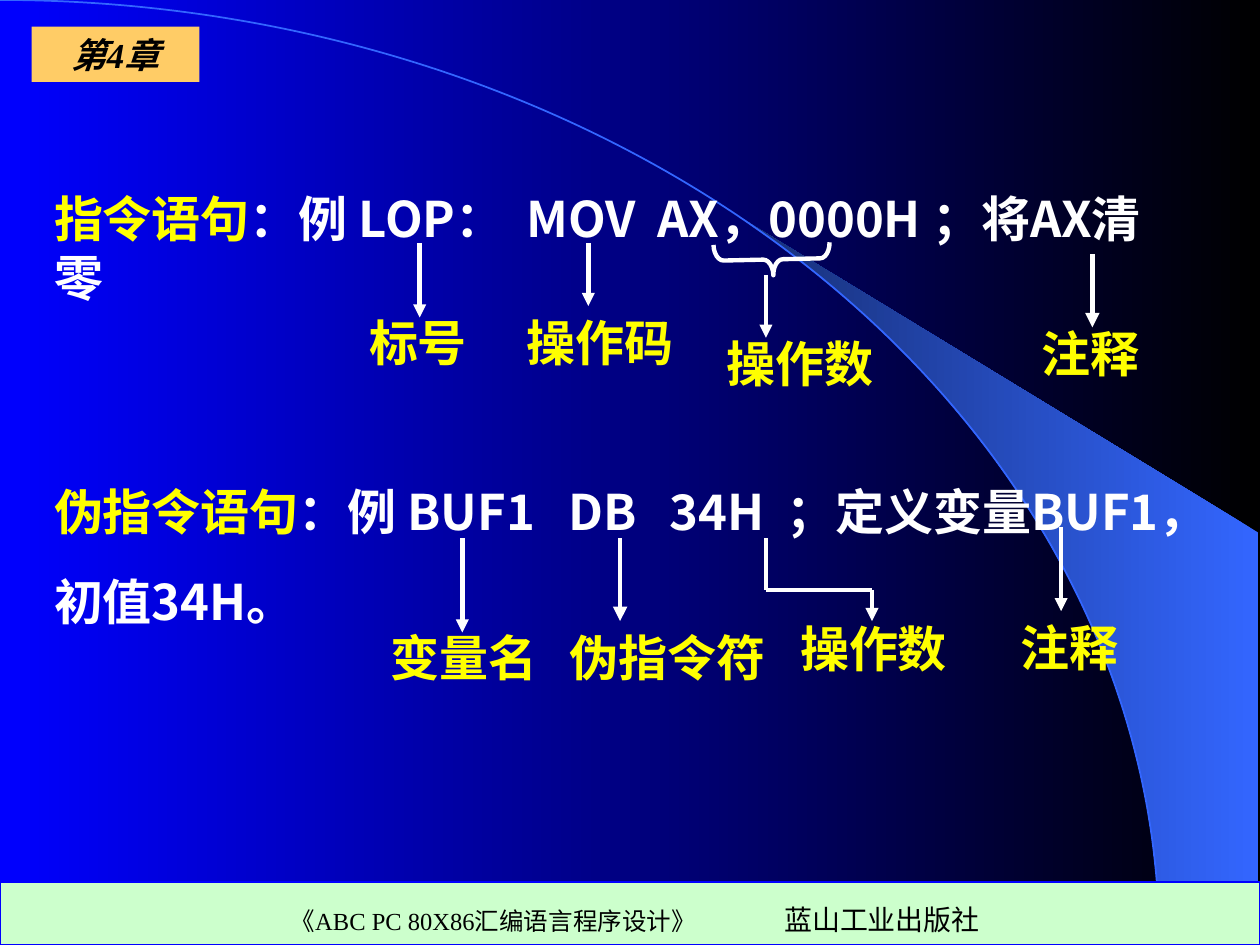
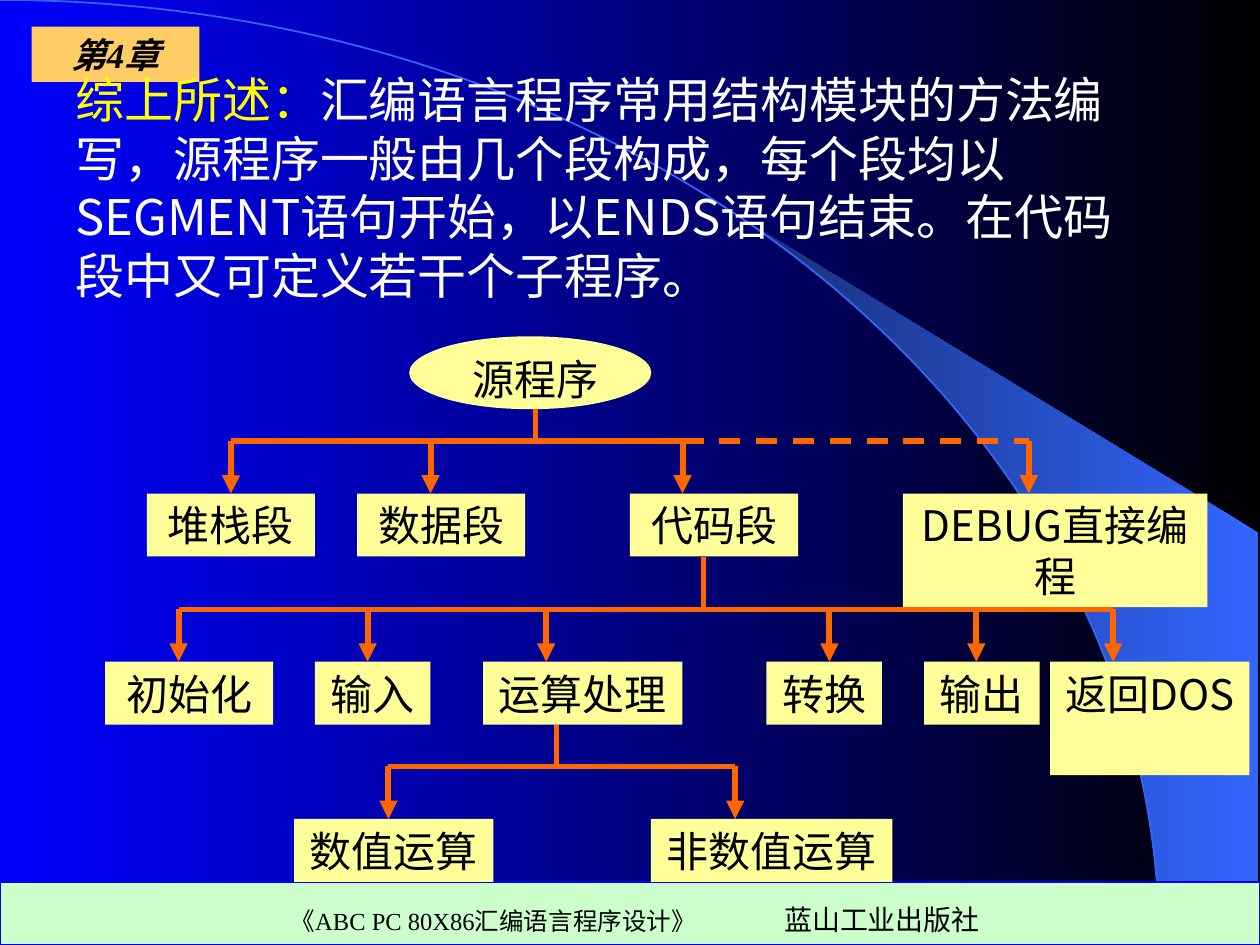
"""Build two slides on assembly statements and source program structure."""
from dataclasses import dataclass
from math import asin, cos, pi, sin
from typing import NamedTuple

from lxml.etree import SubElement
from pptx import Presentation
from pptx.dml.color import RGBColor as Rgb
from pptx.enum.dml import MSO_LINE_DASH_STYLE as Dash
from pptx.enum.shapes import MSO_CONNECTOR as Link, MSO_SHAPE as Preset
from pptx.enum.text import MSO_ANCHOR as Anchor, MSO_AUTO_SIZE as AutoSize, PP_ALIGN as Align
from pptx.oxml.ns import qn
from pptx.util import Cm, Pt


@dataclass(frozen=True)
class Theme:
    black: Rgb = Rgb(0, 0, 0)
    white: Rgb = Rgb(255, 255, 255)
    deep_blue: Rgb = Rgb(0, 0, 255)
    sky: Rgb = Rgb.from_string("3366FF")
    dusk: Rgb = Rgb.from_string("172F75")
    chapter: Rgb = Rgb.from_string("FFCC66")
    band: Rgb = Rgb.from_string("CCFFCC")
    key: Rgb = Rgb.from_string("FFFF00")
    node: Rgb = Rgb.from_string("FFFF99")
    branch: Rgb = Rgb.from_string("FF6600")
    sans: str = "Noto Sans CJK SC"
    serif: str = "Times New Roman"
    statement_size: float = 28
    node_size: float = 24
    chapter_size: float = 20
    press_size: float = 16
    book_size: float = 14
    line_ratio: float = 1.2
    paragraph_gap: float = 17.5
    space_width: float = 6.3


THEME = Theme()


class Box(NamedTuple):
    left: float
    top: float
    width: float
    height: float

    def lengths(self) -> tuple:
        return tuple(Cm(value) for value in self)


class Piece(NamedTuple):
    text: str
    colour: Rgb = THEME.white
    widening: float = 0


class Callout(NamedTuple):
    text: str
    box: Box
    route: tuple
    weight: float = 2.5


class Node(NamedTuple):
    text: str
    left: float
    width: float
    arrow_x: float
    height: float = 1.27
    font: str = THEME.serif
    dashed: bool = False

    def is_centred(self) -> bool:
        return abs(self.left + self.width / 2 - self.arrow_x) < 0.02


class Level(NamedTuple):
    top: float
    trunk_x: float
    trunk_top: float
    nodes: tuple


SLIDE_WIDTH, SLIDE_HEIGHT = 25.4, 19.05
ARC_X, ARC_Y = 23.37, 19.02
CRESCENT_TIP, CRESCENT_RIGHT, CRESCENT_SHOULDER = 14.96, 25.37, 10.74
BAR_RISE = 1.06
GAP = Piece(" ", widening=THEME.space_width)
WIDE_GAP = Piece(" ", widening=2 * THEME.space_width)

INSTRUCTION = (
    (Piece("指令语句", THEME.key), Piece("：例 LOP："), GAP, Piece("MOV"), GAP,
     Piece("AX，0000H ；将AX清零")),
)
DIRECTIVE = (
    (Piece("伪指令语句", THEME.key), Piece("：例 BUF1"), WIDE_GAP, Piece("DB"), WIDE_GAP,
     Piece("34H"), GAP, Piece("；定义变量BUF1，")),
    (Piece("初值34H。"),),
)
SUMMARY = (
    (Piece("综上所述：", THEME.key),
     Piece("汇编语言程序常用结构模块的方法编写，源程序一般由几个段构成，每个段均以SEGMENT语句开始，"
           "以ENDS语句结束。在代码段中又可定义若干个子程序。")),
)

CALLOUTS = (
    Callout("标号", Box(7.19, 6.17, 3.39, 1.45), ((8.46, 4.9), (8.46, 6.4))),
    Callout("操作码", Box(10.36, 6.17, 3.81, 1.45), ((11.86, 4.9), (11.86, 6.17))),
    Callout("操作数", Box(14.4, 6.6, 3.6, 1.45), ((15.44, 5.54), (15.44, 6.81))),
    Callout("注释", Box(20.75, 6.4, 2.97, 1.45), ((22.02, 5.13), (22.02, 6.6)), 2.75),
    Callout("变量名", Box(7.62, 12.52, 4.24, 1.45), ((9.32, 10.85), (9.32, 12.75))),
    Callout("伪指令符", Box(11.23, 12.52, 5.08, 1.45), ((12.5, 10.85), (12.5, 12.52)), 2.75),
    Callout("操作数", Box(15.88, 12.34, 3.6, 1.45),
            ((15.44, 10.85), (15.44, 11.89), (17.58, 11.89), (17.58, 12.52))),
    Callout("注释", Box(20.32, 12.32, 2.97, 1.45), ((21.39, 10.62), (21.39, 12.32))),
)

LEVELS = (
    Level(9.95, 10.8, 8.25, (
        Node("堆栈段", 2.96, 3.39, 4.66),
        Node("数据段", 7.2, 3.39, 8.68),
        Node("代码段", 12.7, 3.39, 13.76),
        Node("DEBUG直接编程", 18.2, 6.14, 20.74, 2.29, THEME.sans, True),
    )),
    Level(13.34, 14.18, 11.22, (
        Node("初始化", 2.12, 3.39, 3.6),
        Node("输入", 6.35, 2.33, 7.41),
        Node("运算处理", 9.74, 4.02, 11.01),
        Node("转换", 15.45, 2.33, 16.72),
        Node("输出", 18.63, 2.33, 19.68),
        Node("返回DOS", 21.17, 4.02, 22.44, 2.29, THEME.sans),
    )),
    Level(16.51, 11.22, 14.61, (
        Node("数值运算", 5.93, 4.02, 7.83),
        Node("非数值运算", 13.12, 4.87, 14.82),
    )),
)


def fill_gradient(fill, first: Rgb, last: Rgb) -> None:
    """Fill with two colours running from right to left."""
    fill.gradient()
    fill.gradient_angle = 180
    for stop, colour in zip(fill.gradient_stops, (first, last)):
        stop.color.rgb = colour


def format_frame(shape, anchor=Anchor.TOP) -> None:
    """Give a text frame the shared insets and wrapping."""
    frame = shape.text_frame
    frame.word_wrap = True
    frame.auto_size = AutoSize.NONE
    frame.vertical_anchor = anchor
    frame.margin_left = frame.margin_right = Cm(0.25)
    frame.margin_top = Cm(0.13 if anchor == Anchor.TOP else 0)
    frame.margin_bottom = Cm(0)


def format_paragraph(paragraph, size: float, font: str, align=Align.LEFT, bold=False) -> None:
    """Set the type of a whole paragraph."""
    paragraph.alignment = align
    paragraph.line_spacing = Pt(size * THEME.line_ratio)
    paragraph.space_before = Pt(0)
    paragraph.font.name = font
    paragraph.font.size = Pt(size)
    paragraph.font.bold = bold


def write(shape, text: str, size: float, colour: Rgb, font: str = THEME.serif,
          align=Align.LEFT, bold=False, anchor=Anchor.TOP):
    """Write one evenly styled paragraph into a shape."""
    format_frame(shape, anchor)
    paragraph = shape.text_frame.paragraphs[0]
    paragraph.text = text
    format_paragraph(paragraph, size, font, align, bold)
    paragraph.font.color.rgb = colour
    return paragraph


def add_label(slide, box: Box, text: str, size: float, colour: Rgb, **style) -> None:
    """Add a free-standing piece of text."""
    write(slide.shapes.add_textbox(*box.lengths()), text, size, colour, **style)


def add_block(slide, preset, box: Box, colour: Rgb):
    """Add a flat filled shape without an outline."""
    block = slide.shapes.add_shape(preset, *box.lengths())
    block.shadow.inherit = False
    block.fill.solid()
    block.fill.fore_color.rgb = colour
    block.line.fill.background()
    return block


def add_line(slide, start: tuple, end: tuple, colour: Rgb, weight: float,
             arrow=False, dashed=False):
    """Add a straight connector, with an arrowhead or dashes if asked."""
    ends = [Cm(value) for value in (*start, *end)]
    link = slide.shapes.add_connector(Link.STRAIGHT, *ends)
    link.line.width = Pt(weight)
    link.line.color.rgb = colour
    if dashed:
        link.line.dash_style = Dash.DASH
    outline = link.element.find(".//" + qn("a:ln"))
    if arrow:
        SubElement(outline, qn("a:tailEnd"), type="triangle")
    SubElement(outline.getparent(), qn("a:effectLst"))
    return link


def add_statement(placeholder, box: Box, paragraphs: tuple, bold=False) -> None:
    """Move a placeholder and fill it with a highlighted statement."""
    placeholder.element.getparent().append(placeholder.element)
    placeholder.left, placeholder.top, placeholder.width, placeholder.height = box.lengths()
    format_frame(placeholder)
    frame = placeholder.text_frame
    for index, pieces in enumerate(paragraphs):
        paragraph = frame.add_paragraph() if index else frame.paragraphs[0]
        for piece in pieces:
            run = paragraph.add_run()
            run.text = piece.text
            run.font.color.rgb = piece.colour
            if piece.widening:
                properties = list(placeholder.element.iter(qn("a:rPr")))[-1]
                properties.set("spc", str(round(piece.widening * 100)))
        format_paragraph(paragraph, THEME.statement_size, THEME.sans, bold=bold)
        if index:
            paragraph.space_before = Pt(THEME.paragraph_gap)
    for properties in placeholder.element.iter(qn("a:pPr")):
        for name in ("marL", "indent", "hangingPunct"):
            properties.set(name, "0")
        bullet = SubElement(properties, qn("a:buNone"))
        properties.find(qn("a:defRPr")).addprevious(bullet)


def add_backdrop(slide) -> None:
    """Draw the crescent, arc, chapter tag and footer band."""
    start = asin(CRESCENT_TIP / ARC_X)
    angles = [start + (pi / 2 - start) * step / 24 for step in range(25)]
    edge = [(ARC_X * sin(angle), ARC_Y * (1 - cos(angle))) for angle in angles]
    corners = [(CRESCENT_RIGHT, ARC_Y), (CRESCENT_RIGHT, CRESCENT_SHOULDER)]
    outline = [(Cm(x), Cm(y)) for x, y in edge + corners]
    builder = slide.shapes.build_freeform(*outline[0])
    builder.add_line_segments(outline[1:], close=True)
    crescent = builder.convert_to_shape()
    crescent.shadow.inherit = False
    crescent.line.fill.background()
    fill_gradient(crescent.fill, THEME.sky, THEME.dusk)

    arc = add_block(slide, Preset.ARC, Box(-ARC_X, 0, 2 * ARC_X, 2 * ARC_Y), THEME.sky)
    arc.fill.background()
    arc.line.color.rgb = THEME.sky
    arc.line.width = Pt(1)

    chapter = add_block(slide, Preset.RECTANGLE, Box(0.64, 0.54, 3.38, 1.11), THEME.chapter)
    heading = write(chapter, "第4章", THEME.chapter_size, THEME.black, align=Align.CENTER, bold=True)
    heading.font.italic = True

    band = add_block(slide, Preset.RECTANGLE, Box(0, 17.78, SLIDE_WIDTH, 1.27), THEME.band)
    band.line.color.rgb = THEME.deep_blue
    band.line.width = Pt(0.75)
    add_label(slide, Box(5.61, 18.06, 9.5, 1), "《ABC PC 80X86汇编语言程序设计》",
              THEME.book_size, THEME.black, anchor=Anchor.MIDDLE)
    add_label(slide, Box(15.56, 18.04, 5, 1), "蓝山工业出版社",
              THEME.press_size, THEME.black, anchor=Anchor.MIDDLE)


def set_east_asian_font(slide) -> None:
    """Name the Chinese typeface beside every Latin one."""
    for latin in list(slide.element.iter(qn("a:latin"))):
        east_asian = SubElement(latin.getparent(), qn("a:ea"), typeface=THEME.sans)
        latin.addnext(east_asian)


def add_callout(slide, callout: Callout) -> None:
    """Draw the route to a statement part and name the part."""
    legs = list(zip(callout.route, callout.route[1:]))
    for leg in legs:
        add_line(slide, *leg, THEME.white, callout.weight, arrow=leg == legs[-1])
    add_label(slide, callout.box, callout.text, THEME.statement_size, THEME.key, bold=True)


def add_level(slide, level: Level) -> None:
    """Draw one level of the tree with its trunk, bar and arrows."""
    bar_y = level.top - BAR_RISE
    add_line(slide, (level.trunk_x, level.trunk_top), (level.trunk_x, bar_y), THEME.branch, 3)
    solid = [node.arrow_x for node in level.nodes if not node.dashed]
    add_line(slide, (solid[0], bar_y), (solid[-1], bar_y), THEME.branch, 3)
    for node in level.nodes:
        x = node.arrow_x
        block = add_block(slide, Preset.RECTANGLE,
                          Box(node.left, level.top, node.width, node.height), THEME.node)
        write(block, node.text, THEME.node_size, THEME.black, node.font, Align.CENTER)
        if node.dashed:
            add_line(slide, (solid[-1], bar_y), (x, bar_y), THEME.branch, 3, dashed=True)
        arrow = add_line(slide, (x, bar_y), (x, level.top), THEME.branch, 3.5, arrow=True)
        if node.is_centred():
            arrow.end_connect(block, 0)


def build_statements(deck) -> None:
    """Build the slide that names the parts of two statements."""
    slide = deck.slides.add_slide(deck.slide_layouts[1])
    add_backdrop(slide)
    add_statement(slide.shapes.title, Box(0.84, 3.68, 23.29, 2.64), INSTRUCTION, bold=True)
    add_statement(slide.placeholders[1], Box(0.84, 9.58, 24.13, 4.45), DIRECTIVE, bold=True)
    brace = add_block(slide, Preset.LEFT_BRACE, Box(15.24, 4.06, 0.64, 2.34), THEME.white)
    brace.fill.background()
    brace.line.color.rgb = THEME.white
    brace.line.width = Pt(2.5)
    brace.rotation = 268.7
    brace.adjustments[0], brace.adjustments[1] = 0.31, 0.51
    for callout in CALLOUTS:
        add_callout(slide, callout)
    set_east_asian_font(slide)


def build_structure(deck) -> None:
    """Build the slide that shows the tree of a source program."""
    slide = deck.slides.add_slide(deck.slide_layouts[5])
    add_backdrop(slide)
    add_statement(slide.shapes.title, Box(1.27, 1.27, 22.2, 5), SUMMARY)
    add_block(slide, Preset.OVAL, Box(8.25, 6.78, 4.88, 1.47), THEME.node)
    add_label(slide, Box(9.11, 6.99, 3.38, 1.27), "源程序", THEME.node_size, THEME.black,
              align=Align.CENTER)
    for level in LEVELS:
        add_level(slide, level)
    set_east_asian_font(slide)


def main() -> None:
    """Build and save the deck."""
    deck = Presentation()
    deck.slide_width, deck.slide_height = Cm(SLIDE_WIDTH), Cm(SLIDE_HEIGHT)
    fill_gradient(deck.slide_master.background.fill, THEME.black, THEME.deep_blue)
    build_statements(deck)
    build_structure(deck)
    deck.save("out.pptx")


if __name__ == "__main__":
    main()
